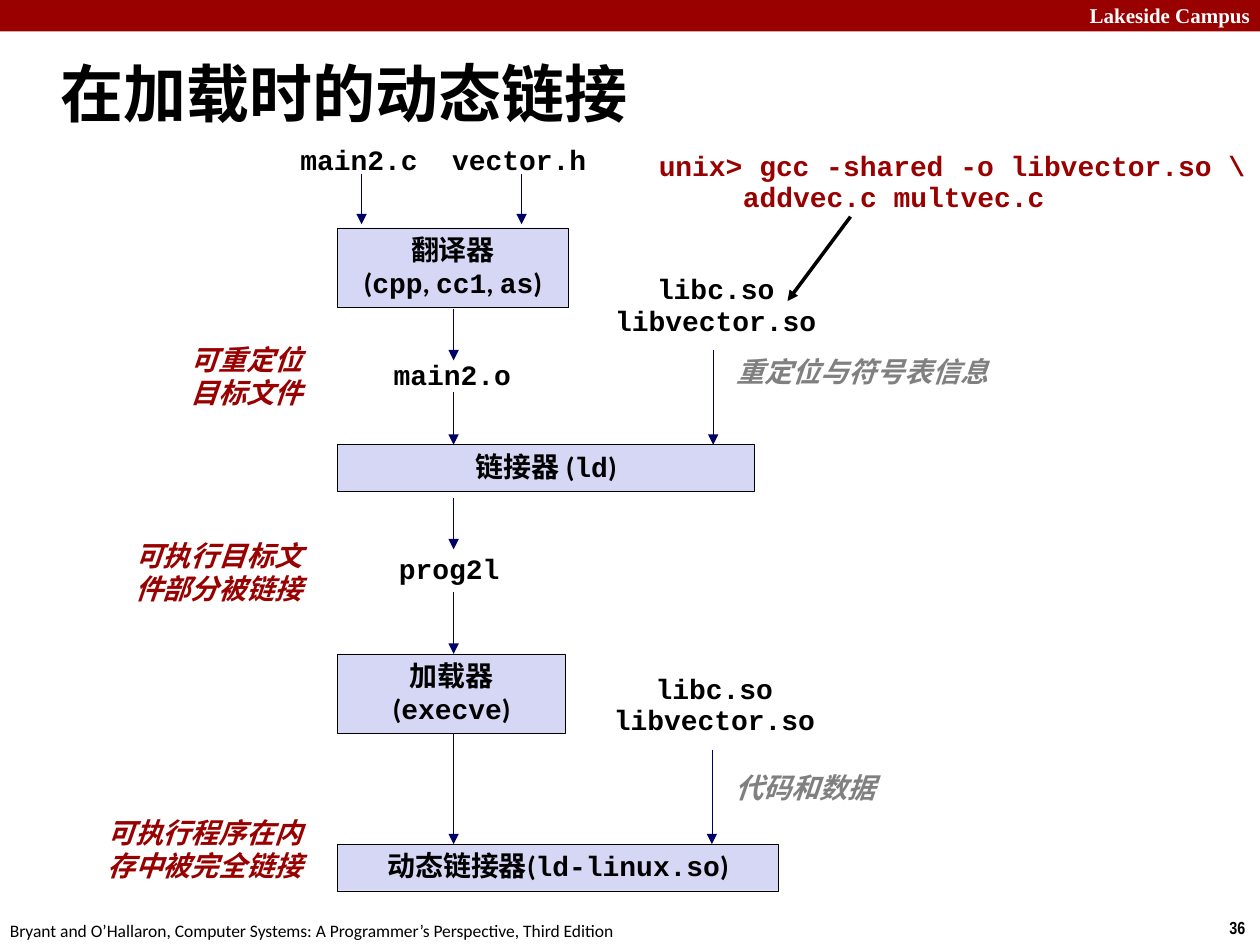
from dataclasses import dataclass

from lxml import etree
from pptx import Presentation, util as u
from pptx.dml.color import RGBColor
from pptx.enum import shapes, text
from pptx.oxml import ns


@dataclass(frozen=True)
class Theme:
    """Colours, typefaces and type sizes of the slide."""
    red: str = "990000"
    navy: str = "000066"
    lilac: str = "D6D6F5"
    gray: str = "808080"
    black: str = "000000"
    white: str = "FFFFFF"
    sans: str = "Calibri"
    mono: str = "Courier New"
    serif: str = "Times New Roman"
    narrow: str = "Arial Narrow"
    title: float = 36
    body: float = 16
    brand: float = 12
    small: float = 10
    hairline: float = 0.26
    heavy: float = 2


THEME = Theme()
COLUMNS, ROWS = 100, 75
CENTER, RIGHT, LEFT = text.PP_ALIGN.CENTER, text.PP_ALIGN.RIGHT, text.PP_ALIGN.LEFT


def cells(count):
    """Convert grid cells, a tenth of an inch each, to a length."""
    return u.Inches(count / 10)


@dataclass
class Region:
    """An area of the slide whose parts are placed from its top left cell."""
    slide: object
    column: float = 0
    row: float = 0

    def place(self, column, row, width, height):
        """Return slide lengths for a box inside the region."""
        return [cells(value) for value in (self.column + column, self.row + row, width, height)]


def style_font(font, size, color, name, bold=True, italic=False):
    """Apply size, colour, typeface and emphasis."""
    font.size, font.name, font.bold, font.italic = u.Pt(size), name, bold, italic
    font.color.rgb = RGBColor.from_string(color)


def write(frame, lines, align=LEFT, size=THEME.body, color=THEME.black, name=THEME.sans,
          bold=True, italic=False, spacing=0.98, wrap=True):
    """Write lines in which every second part between bars is code."""
    frame.word_wrap = wrap
    frame.vertical_anchor = text.MSO_ANCHOR.TOP
    for index, line in enumerate(lines):
        paragraph = frame.add_paragraph() if index else frame.paragraphs[0]
        paragraph.alignment, paragraph.line_spacing = align, spacing
        style_font(paragraph.font, size, color, name, bold, italic)
        for order, part in enumerate(line.split("|")):
            run = paragraph.add_run()
            run.text = part
            if order % 2:
                run.font.name = THEME.mono


def label(region, box, lines, **style):
    """Add a text box."""
    shape = region.slide.shapes.add_textbox(*region.place(*box))
    write(shape.text_frame, lines, **style)
    return shape


def code(region, box, *lines, align=CENTER, color=THEME.black):
    """Add unwrapped file names or commands."""
    return label(region, box, lines, align=align, color=color, name=THEME.mono,
                 spacing=0.94, wrap=False)


def rectangle(region, box, fill, line=None):
    """Add a flat rectangle."""
    shape = region.slide.shapes.add_shape(shapes.MSO_SHAPE.RECTANGLE, *region.place(*box))
    shape.shadow.inherit = False
    shape.fill.solid()
    shape.fill.fore_color.rgb = RGBColor.from_string(fill)
    if line:
        shape.line.color.rgb = RGBColor.from_string(line)
        shape.line.width = u.Pt(THEME.hairline)
    else:
        shape.line.fill.background()
    return shape


def arrow(region, start, end, color=THEME.navy, width=THEME.hairline):
    """Add a straight line with an arrowhead at its end."""
    connector = region.slide.shapes.add_connector(
        shapes.MSO_CONNECTOR.STRAIGHT, *region.place(*start, 0, 0)[:2], *region.place(*end, 0, 0)[:2])
    connector.line.color.rgb = RGBColor.from_string(color)
    connector.line.width = u.Pt(width)
    properties = connector._element.spPr
    etree.SubElement(properties.get_or_add_ln(), ns.qn("a:tailEnd"), type="triangle")
    etree.SubElement(properties, ns.qn("a:effectLst"))


def header(region, title):
    """Add the top band, its name and the slide title."""
    rectangle(region, (0, 0, COLUMNS, 2.5), THEME.red)
    label(region, (80, -0.3, 20.2, 3), ["Lakeside Campus"], align=RIGHT, size=THEME.brand,
          color=THEME.white, name=THEME.serif, spacing=1)
    shape = region.slide.shapes.title
    shape.left, shape.top, shape.width, shape.height = region.place(3.8, 3.1, 95.3, 8.5)
    write(shape.text_frame, [title], size=THEME.title, spacing=1)
    shape.text_frame.vertical_anchor = text.MSO_ANCHOR.MIDDLE


def footer(region, source, number):
    """Add the source line and the slide number."""
    label(region, (-0.2, 0.2, 50.8, 2.7), [source], size=THEME.small, bold=False,
          spacing=1, wrap=False)
    label(region, (96.6, 0, 3.4, 2.7), [number], size=THEME.small, name=THEME.narrow,
          spacing=1, wrap=False)


def pipeline(region):
    """Add the tools, the files between them and the arrows down the spine."""
    tools = [(7, 18.3, 6.3, ["翻译器", "(|cpp|, |cc1|, |as|)"]),
             (24.2, 33.1, 3.7, ["链接器 (|ld|)"]),
             (40.8, 18.1, 6.3, ["加载器 (|execve|)"]),
             (55.9, 35, 3.7, ["动态链接器(|ld-linux.so|)"])]
    for row, width, height, lines in tools:
        shape = rectangle(region, (0, row, width, height), THEME.lilac, THEME.black)
        write(shape.text_frame, lines, align=CENTER)
    files = [(-4, -0.1, 11.4, "main2.c"), (8, -0.1, 12.8, "vector.h"),
             (3.4, 17, 11.4, "main2.o"), (3.8, 32.4, 10.1, "prog2l")]
    for column, row, width, name in files:
        code(region, (column, row, width, 3.6), name)
    spine = 9.2
    steps = [(1.9, 2.7, 6.7), (14.6, 2.7, 6.7), (spine, 13.4, 17.5), (spine, 20, 24.2),
             (spine, 28.4, 32.5), (spine, 35.9, 40.8), (spine, 47.1, 55.9)]
    for column, top, bottom in steps:
        arrow(region, (column, top), (column, bottom))


def libraries(region, caption, caption_row):
    """Add the shared libraries with the arrow and caption below them."""
    code(region, (0, 0, 18.2, 6.1), "libc.so", "libvector.so")
    arrow(region, (8.9, 6.5), (8.9, 14))
    label(region, (9.8, caption_row, 28.5, 3.7), [caption], color=THEME.gray, italic=True)


def command(region):
    """Add the shell command and the arrow to the library it builds."""
    shape = code(region, (0, 0, 49.2, 6.1), "unix> gcc -shared -o libvector.so \\",
                 "addvec.c multvec.c", align=LEFT, color=THEME.red)
    shape.text_frame.paragraphs[1]._p.get_or_add_pPr().set("marL", str(cells(6.67)))
    arrow(region, (16.2, 5.7), (11.2, 12.4), THEME.black, THEME.heavy)


def stage_notes(region):
    """Add the right-aligned notes that name each stage's result."""
    notes = [(0, ["可重定位", "目标文件"]), (15.6, ["可执行目标文", "件部分被链接"]),
             (37.6, ["可执行程序在内存中被完全链接"])]
    for row, lines in notes:
        label(region, (0, row, 19.2, 6.3), lines, align=RIGHT, color=THEME.red, italic=True)


presentation = Presentation()
presentation.slide_width, presentation.slide_height = cells(COLUMNS), cells(ROWS)
slide = presentation.slides.add_slide(presentation.slide_layouts[5])
header(Region(slide), "在加载时的动态链接")
pipeline(Region(slide, 26.8, 11.1))
libraries(Region(slide, 47.7, 21.3), "重定位与符号表信息", 6.5)
libraries(Region(slide, 47.6, 53), "代码和数据", 7.8)
stage_notes(Region(slide, 5.8, 26.8))
command(Region(slide, 51.3, 11.5))
footer(Region(slide, 0, 72.3),
       "Bryant and O’Hallaron, Computer Systems: A Programmer’s Perspective, Third Edition", "36")
presentation.save("out.pptx")
